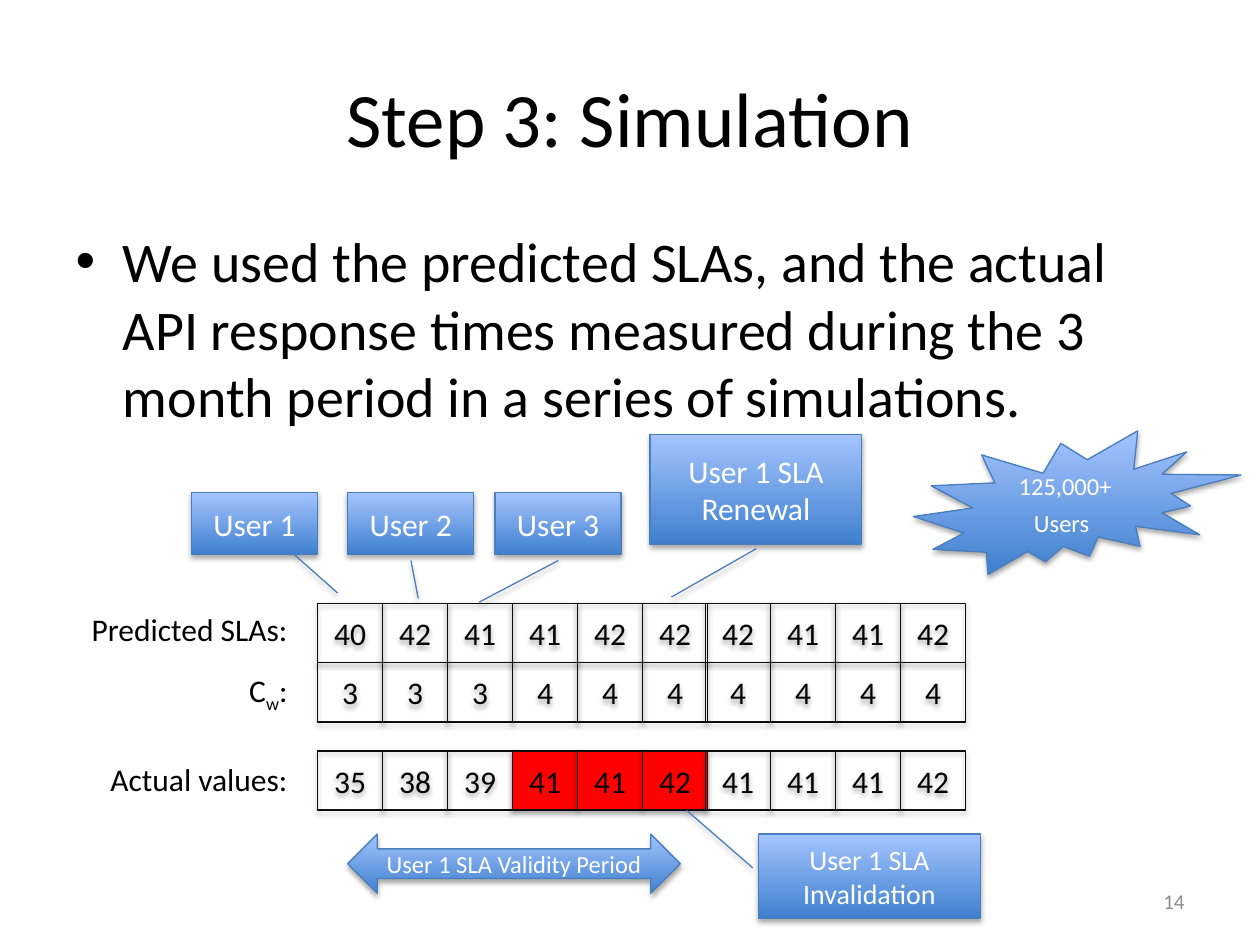
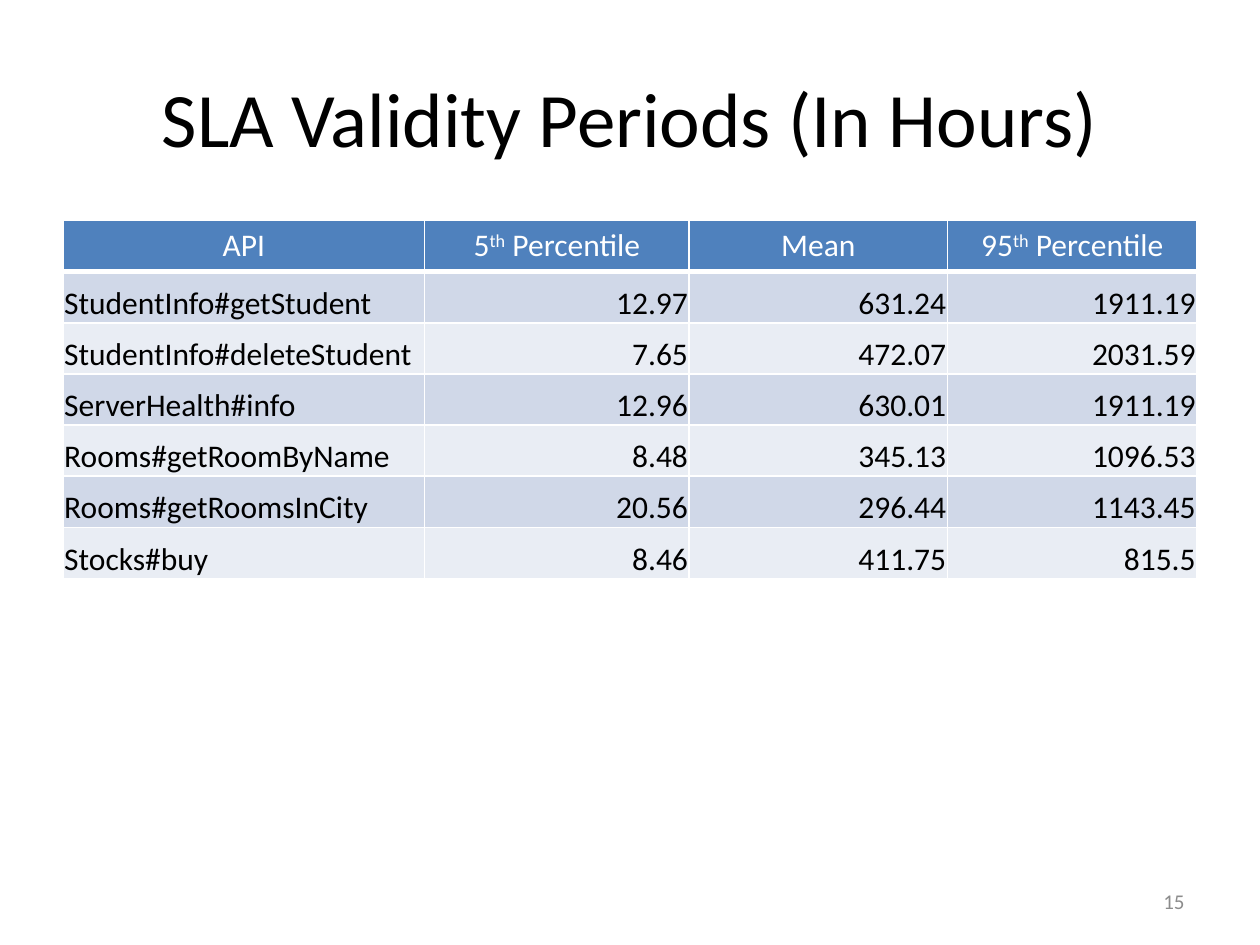
from lxml import etree
from pptx import Presentation, util as u
from pptx.dml.color import RGBColor
from pptx.enum import shapes, text
from pptx.oxml import ns

BLACK = RGBColor(0x00, 0x00, 0x00)
WHITE = RGBColor(0xFF, 0xFF, 0xFF)
GREY = RGBColor(0x8C, 0x8C, 0x8C)
RED = RGBColor(0xFF, 0x00, 0x00)
CELL_LINE = RGBColor(0x0D, 0x0D, 0x0D)
BLUE_LINE = RGBColor(0x4B, 0x7E, 0xBC)
BLUE_DARK = RGBColor(0x3F, 0x80, 0xCE)
BLUE_LIGHT = RGBColor(0xA4, 0xC4, 0xFF)
HEADER_FILL = RGBColor(0x4F, 0x81, 0xBD)
BAND_FILLS = RGBColor(0xD0, 0xD8, 0xE8), RGBColor(0xE9, 0xED, 0xF4)

FONT = "Calibri"
COLUMNS, ROWS = 100, 75
SUBSCRIPT, SUPERSCRIPT = -25000, 30000
LEFT, CENTER, RIGHT = (text.PP_ALIGN.LEFT, text.PP_ALIGN.CENTER,
                       text.PP_ALIGN.RIGHT)
MIDDLE, BOTTOM = text.MSO_ANCHOR.MIDDLE, text.MSO_ANCHOR.BOTTOM
PRESET = shapes.MSO_SHAPE


def add_xml(parent, tag, **attributes):
    return etree.SubElement(parent, ns.qn(tag), {
        name: str(value) for name, value in attributes.items()})


def write(frame, content, size=18, color=BLACK, align=None, anchor=None):
    """Fill a frame with a string or a list of (string, run format) pairs."""
    frame.word_wrap = True
    if anchor is not None:
        frame.vertical_anchor = anchor
    paragraph = frame.paragraphs[0]
    if align is not None:
        paragraph.alignment = align
    runs = [(content, {})] if isinstance(content, str) else content
    for string, run_format in runs:
        run = paragraph.add_run()
        run.text = string
        font = run.font
        font.name, font.bold = FONT, False
        font.size = u.Pt(run_format.get("size", size))
        font.color.rgb = color
        if "baseline" in run_format:
            font._element.set("baseline", str(run_format["baseline"]))


class Deck:
    def __init__(self):
        self.presentation = Presentation()
        self.presentation.slide_width = u.Inches(10)
        self.presentation.slide_height = u.Inches(7.5)
        self.column = self.presentation.slide_width / COLUMNS
        self.row = self.presentation.slide_height / ROWS
        self.slide = None

    def box(self, left, top, width, height):
        """Turn grid columns and rows into slide lengths."""
        return (round(left * self.column), round(top * self.row),
                round(width * self.column), round(height * self.row))

    def place(self, shape, *grid):
        shape.left, shape.top, shape.width, shape.height = self.box(*grid)

    def start_slide(self, title, number, layout):
        self.slide = self.presentation.slides.add_slide(
            self.presentation.slide_layouts.get_by_name(layout))
        heading = self.slide.shapes.title
        self.place(heading, 5, 3, 90, 12.5)
        write(heading.text_frame, title, size=44, align=CENTER, anchor=MIDDLE)
        self.label(number, 71.7, 69.5, 23.3, 4, size=12, color=GREY,
                   anchor=MIDDLE)

    def body(self, content, *grid):
        placeholder = self.slide.placeholders[1]
        self.place(placeholder, *grid)
        write(placeholder.text_frame, content, size=32)
        placeholder.text_frame.auto_size = text.MSO_AUTO_SIZE.NONE

    def label(self, content, *grid, **style):
        shape = self.slide.shapes.add_textbox(*self.box(*grid))
        write(shape.text_frame, content, align=RIGHT, **style)

    def shape(self, preset, content, *grid, line=BLUE_LINE, **style):
        """Add an outlined preset shape with a soft shadow below it."""
        shape = self.slide.shapes.add_shape(preset, *self.box(*grid))
        shape.line.color.rgb = line
        shape.line.width = u.Pt(0.75)
        shape.shadow.inherit = False
        effects = shape._element.spPr.find(ns.qn("a:effectLst"))
        shadow = add_xml(effects, "a:outerShdw", blurRad=u.Pt(3.1),
                         dist=u.Pt(1.8), dir=90 * 60000, rotWithShape=0)
        shadow_color = add_xml(shadow, "a:srgbClr", val=BLACK)
        add_xml(shadow_color, "a:alpha", val=35000)
        write(shape.text_frame, content, align=CENTER, anchor=MIDDLE, **style)
        return shape

    def value_cell(self, value, *grid, fill=None):
        cell = self.shape(PRESET.RECTANGLE, value, *grid, line=CELL_LINE)
        if fill is None:
            cell.fill.background()
        else:
            cell.fill.solid()
            cell.fill.fore_color.rgb = fill

    def blue_shape(self, preset, content, *grid, pointer=(), size=18):
        shape = self.shape(preset, content, *grid, size=size, color=WHITE)
        for index, share in enumerate(pointer):
            shape.adjustments[index] = share
        shape.fill.gradient()
        shape.fill.gradient_angle = 90
        for stop, color in zip(shape.fill.gradient_stops,
                               (BLUE_DARK, BLUE_LIGHT)):
            stop.color.rgb = color

    def callout(self, content, *grid, **style):
        self.blue_shape(PRESET.LINE_CALLOUT_1, content, *grid, **style)

    def table(self, records, left, top, widths, row_height):
        frame = self.slide.shapes.add_table(
            len(records), len(widths),
            *self.box(left, top, sum(widths), row_height * len(records)))
        table = frame.table
        for column, width in zip(table.columns, widths):
            column.width = round(width * self.column)
        for row, record in enumerate(records):
            for column, content in enumerate(record):
                self.table_cell(table.cell(row, column), content, row, column)

    def table_cell(self, cell, content, row, column):
        header = row == 0
        if header:
            write(cell.text_frame, content, color=WHITE, align=CENTER)
        else:
            cell.margin_left = cell.margin_right = u.Inches(0.01)
            cell.margin_top, cell.margin_bottom = u.Inches(0.01), 0
            cell.vertical_anchor = BOTTOM
            write(cell.text_frame, content, align=RIGHT if column else LEFT)
        properties = cell._tc.get_or_add_tcPr()
        for side in "LRTB":
            thick = (header and side == "B") or (row == 1 and side == "T")
            border = add_xml(properties, f"a:ln{side}",
                             w=u.Pt(3 if thick else 1))
            add_xml(add_xml(border, "a:solidFill"), "a:srgbClr", val=WHITE)
        cell.fill.solid()
        cell.fill.fore_color.rgb = (HEADER_FILL if header
                                    else BAND_FILLS[(row - 1) % 2])


def build_simulation(deck):
    deck.start_slide("Step 3: Simulation", "14", "Title and Content")
    deck.body("We used the predicted SLAs, and the actual API response times "
              "measured during the 3 month period in a series of simulations.",
              5, 17.5, 90, 17.3)

    first_left, pitch, cell_width, cell_height = 25.2, 5.16, 5.16, 4.7
    series = [
        ("Predicted SLAs:", 47.9, 47.9, "40 42 41 41 42 42 42 41 41 42"),
        ([("C", {}), ("w", {"baseline": SUBSCRIPT}), (":", {})],
         52.6, 52.8, "3 3 3 4 4 4 4 4 4 4"),
        ("Actual values:", 59.6, 59.8, "35 38 39 41 41 42 41 41 41 42"),
    ]
    renewal, invalid = 6, range(3, 6)
    for name, top, label_top, values in series:
        deck.label(name, 3.6, label_top, 20.2, 4)
        for index, value in enumerate(values.split()):
            overlap = 0.16 if index >= renewal else 0
            violated = name == "Actual values:" and index in invalid
            deck.value_cell(value, first_left + index * pitch - overlap, top,
                            cell_width, cell_height,
                            fill=RED if violated else None)

    users = [(15.2, (0.952, 0.788, 1.625, 1.16)),
             (27.6, (1.099, 0.502, 1.713, 0.56)),
             (39.3, (1.099, 0.502, 1.772, -0.126))]
    for number, (left, pointer) in enumerate(users, start=1):
        deck.callout(f"User {number}", left, 39.1, 10, 4.9, pointer=pointer)
    deck.callout("User 1 SLA Invalidation", 60.2, 66.2, 17.6, 6.7, size=16,
                 pointer=(0.4, -0.026, -0.281, -0.324))
    deck.callout("User 1 SLA Renewal", 51.6, 34.5, 16.8, 8.7,
                 pointer=(1.04, 0.502, 1.481, 0.101))
    deck.blue_shape(PRESET.EXPLOSION2,
                    [("125,000+ Users", {}), (" ", {"size": 18})],
                    72.5, 34.2, 26, 11.4, size=14)
    deck.blue_shape(PRESET.LEFT_RIGHT_ARROW, "User 1 SLA Validity Period",
                    27.6, 66.2, 26.4, 4.7, size=14)


def build_validity_periods(deck):
    deck.start_slide("SLA Validity Periods (In Hours)", "15", "Title Only")

    def percentile(number):
        return [(number, {}), ("th", {"baseline": SUPERSCRIPT}),
                (" Percentile", {})]

    deck.table([
        ("API", percentile("5"), "Mean", percentile("95")),
        ("StudentInfo#getStudent", "12.97", "631.24", "1911.19"),
        ("StudentInfo#deleteStudent", "7.65", "472.07", "2031.59"),
        ("ServerHealth#info", "12.96", "630.01", "1911.19"),
        ("Rooms#getRoomByName", "8.48", "345.13", "1096.53"),
        ("Rooms#getRoomsInCity", "20.56", "296.44", "1143.45"),
        ("Stocks#buy", "8.46", "411.75", "815.5"),
    ], 5, 17.5, widths=(28.7, 21, 20.5, 19.8), row_height=4.06)


def main():
    deck = Deck()
    build_simulation(deck)
    build_validity_periods(deck)
    deck.presentation.save("out.pptx")


if __name__ == "__main__":
    main()
